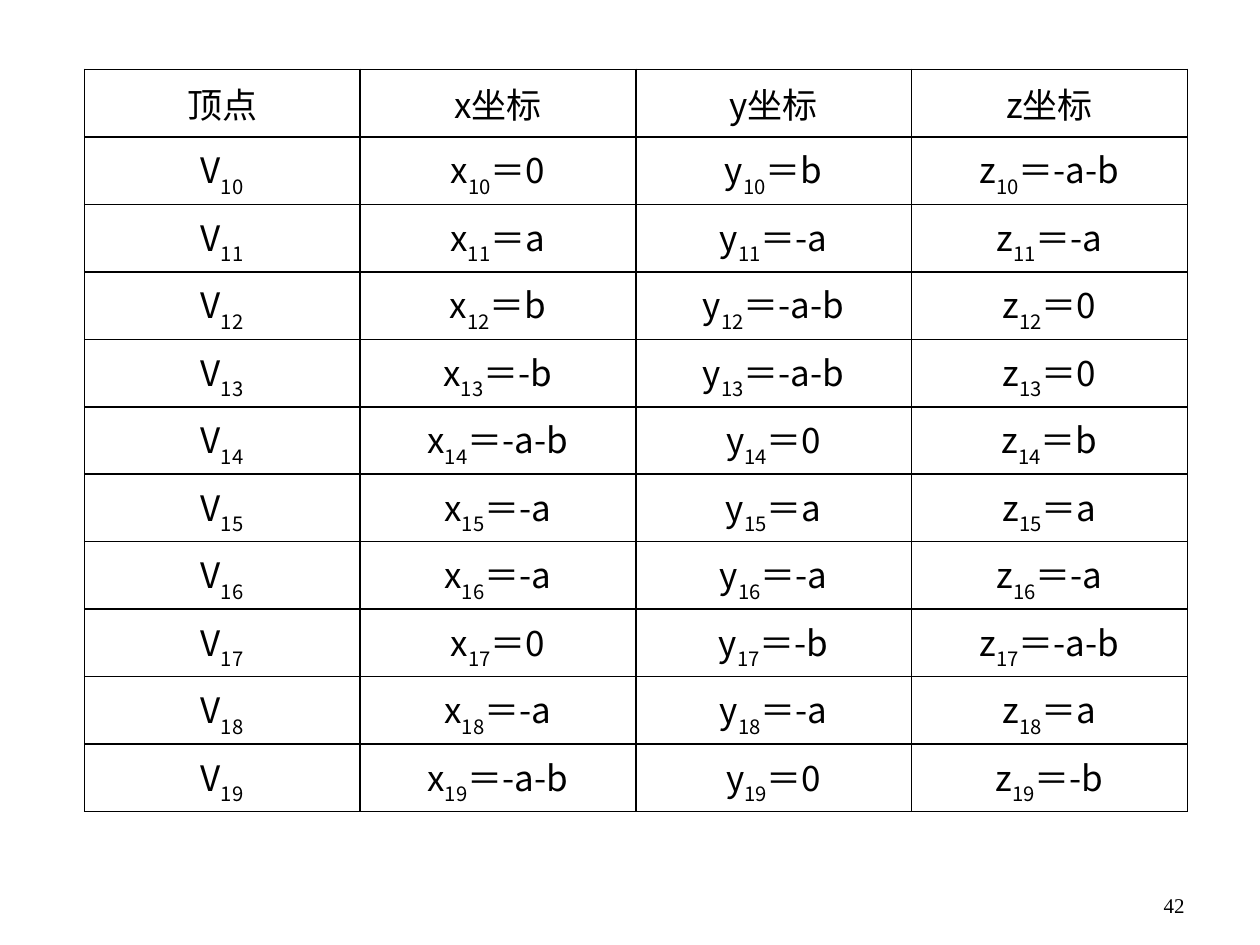
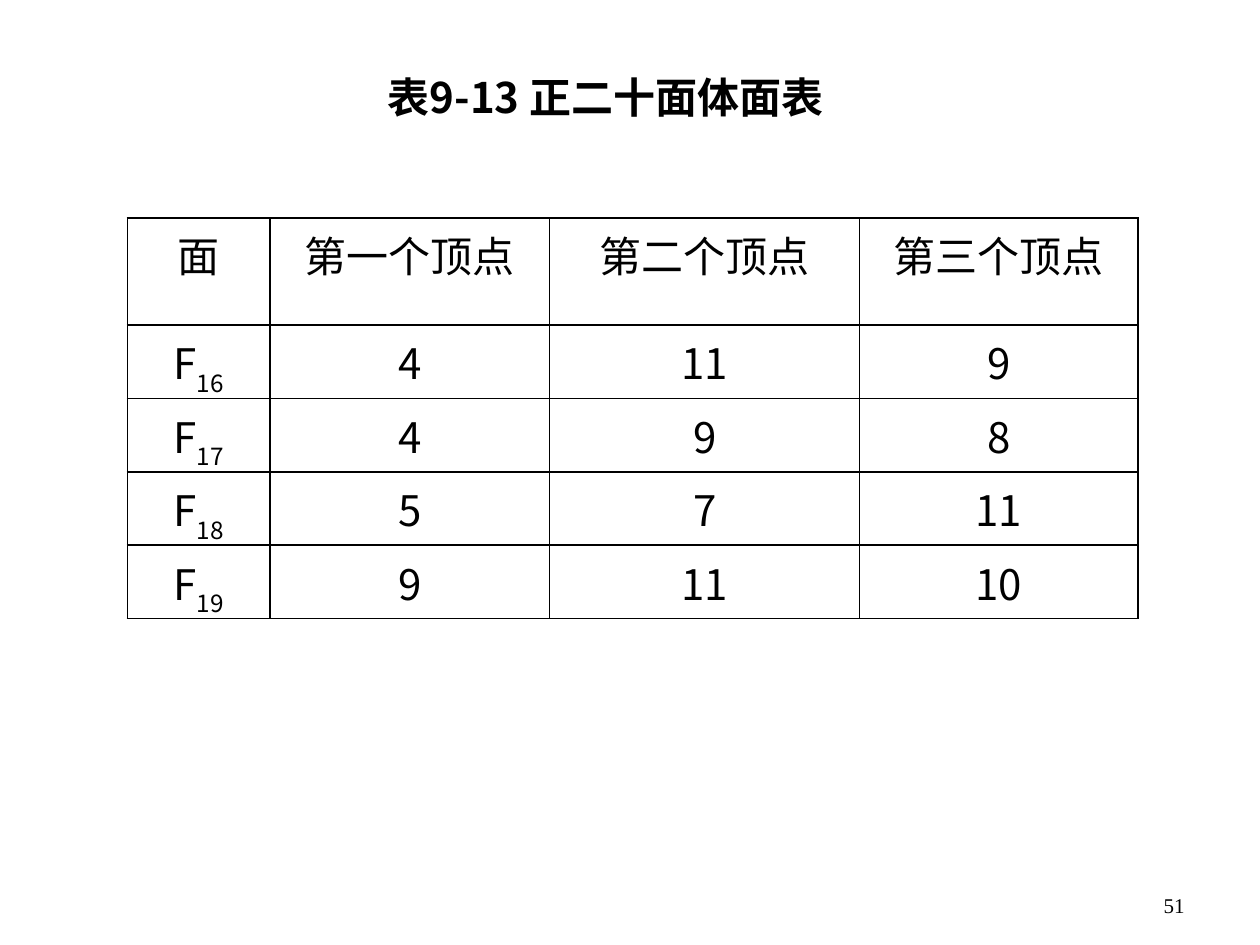
"""Builds the vertex and face table slides of the regular polyhedra lesson."""
from lxml import etree
from pptx import Presentation
from pptx.dml.color import RGBColor
from pptx.enum.text import MSO_ANCHOR, PP_ALIGN
from pptx.oxml.ns import qn
from pptx.util import Cm, Pt

BLACK = RGBColor(0x00, 0x00, 0x00)
TABLE_FONT = "Noto Sans CJK SC"
NUMBER_FONT = "Times New Roman"
LEFT, CENTER, RIGHT = PP_ALIGN.LEFT, PP_ALIGN.CENTER, PP_ALIGN.RIGHT
TOP, MIDDLE, BOTTOM = MSO_ANCHOR.TOP, MSO_ANCHOR.MIDDLE, MSO_ANCHOR.BOTTOM
BLANK_LAYOUT = 6
LINE_WIDTH = 1
SUBSCRIPT = "-30000"

FIRST_VERTEX = 10
VERTEX_COORDINATES = [
    ("0", "b", "-a-b"),
    ("a", "-a", "-a"),
    ("b", "-a-b", "0"),
    ("-b", "-a-b", "0"),
    ("-a-b", "0", "b"),
    ("-a", "a", "a"),
    ("-a", "-a", "-a"),
    ("0", "-b", "-a-b"),
    ("-a", "-a", "a"),
    ("-a-b", "0", "-b"),
]
FIRST_FACE = 16
FACE_VERTICES = [(4, 11, 9), (4, 9, 8), (5, 7, 11), (9, 11, 10)]


class Deck:
    """Holds the shared style and the slide being filled."""

    def __init__(self):
        self.presentation = Presentation()
        self.presentation.slide_width = Cm(25.4)
        self.presentation.slide_height = Cm(19.05)
        self.slide = None

    def new_slide(self, number):
        layout = self.presentation.slide_layouts[BLANK_LAYOUT]
        self.slide = self.presentation.slides.add_slide(layout)
        self.text(str(number), (18.21, 17.35, 5.92, 1.27), 12, NUMBER_FONT, RIGHT, BOTTOM)

    def title(self, wording, box):
        self.text(wording, box, 24, TABLE_FONT, LEFT, MIDDLE, bold=True, wrap=False)

    def text(self, wording, box, size, font_name, align, anchor, bold=False, wrap=True):
        frame = self.slide.shapes.add_textbox(*map(Cm, box)).text_frame
        frame.word_wrap = wrap
        frame.vertical_anchor = anchor
        frame.text = wording
        paragraph = frame.paragraphs[0]
        paragraph.alignment = align
        self.style_run(paragraph.runs[0], size, font_name, bold)

    def style_run(self, run, size, font_name, bold=False):
        run.font.size = Pt(size)
        run.font.bold = bold
        run.font.color.rgb = BLACK
        run.font.name = font_name
        east_asian = etree.SubElement(run._r.get_or_add_rPr(), qn("a:ea"))
        east_asian.set("typeface", font_name)

    def table(self, rows, corner, widths, heights, size, anchor, side_width=LINE_WIDTH):
        """Draw rows of cells, each cell being (text, subscript, text)."""
        left, top = corner
        grid = self.slide.shapes.add_table(
            len(rows), len(widths), Cm(left), Cm(top), Cm(sum(widths)), Cm(sum(heights))
        ).table
        grid.first_row = grid.horz_banding = False
        for column, width in zip(grid.columns, widths):
            column.width = Cm(width)
        last = len(widths) - 1
        for row_index, (cells, height) in enumerate(zip(rows, heights)):
            grid.rows[row_index].height = Cm(height)
            for column_index, parts in enumerate(cells):
                cell = grid.cell(row_index, column_index)
                cell.vertical_anchor = anchor
                self.cell_text(cell, parts, size)
                self.cell_borders(
                    cell,
                    side_width if column_index == 0 else LINE_WIDTH,
                    side_width if column_index == last else LINE_WIDTH,
                )
                cell.fill.background()

    def cell_text(self, cell, parts, size):
        paragraph = cell.text_frame.paragraphs[0]
        paragraph.alignment = CENTER
        for position, part in enumerate(parts):
            if part:
                run = paragraph.add_run()
                run.text = part
                self.style_run(run, size, TABLE_FONT)
                if position == 1:
                    run._r.get_or_add_rPr().set("baseline", SUBSCRIPT)

    def cell_borders(self, cell, left_width, right_width):
        properties = cell._tc.get_or_add_tcPr()
        widths = {"lnL": left_width, "lnR": right_width, "lnT": LINE_WIDTH, "lnB": LINE_WIDTH}
        for side, width in widths.items():
            line = etree.SubElement(properties, qn(f"a:{side}"), w=str(Pt(width)))
            fill = etree.SubElement(line, qn("a:solidFill"))
            etree.SubElement(fill, qn("a:srgbClr"), val=str(BLACK))


def plain(*words):
    """Turn words into cells without subscripts."""
    return [(str(word), "", "") for word in words]


def vertex_rows():
    """Return the header and one row of coordinates per vertex."""
    rows = [plain("顶点", *(f"{axis}坐标" for axis in "xyz"))]
    for number, values in enumerate(VERTEX_COORDINATES, FIRST_VERTEX):
        coordinates = [(axis, str(number), f"＝{value}") for axis, value in zip("xyz", values)]
        rows.append([("V", str(number), ""), *coordinates])
    return rows


def face_rows():
    """Return the header and one row of vertex numbers per face."""
    rows = [plain("面", *(f"第{ordinal}个顶点" for ordinal in "一二三"))]
    for number, vertices in enumerate(FACE_VERTICES, FIRST_FACE):
        rows.append([("F", str(number), ""), *plain(*vertices)])
    return rows


def main():
    deck = Deck()

    deck.new_slide(42)
    vertices = vertex_rows()
    deck.table(vertices, (1.7, 1.4), [5.56] * 4, [1.36] * len(vertices), 20, MIDDLE, 0.75)

    deck.new_slide(51)
    deck.title("表9-13 正二十面体面表", (7.57, 1.4, 9.83, 1.12))
    face_heights = [2.16] + [1.48] * len(FACE_VERTICES)
    deck.table(face_rows(), (2.57, 4.39), [2.87, 5.64, 6.25, 5.61], face_heights, 24, TOP)

    deck.presentation.save("out.pptx")


if __name__ == "__main__":
    main()
